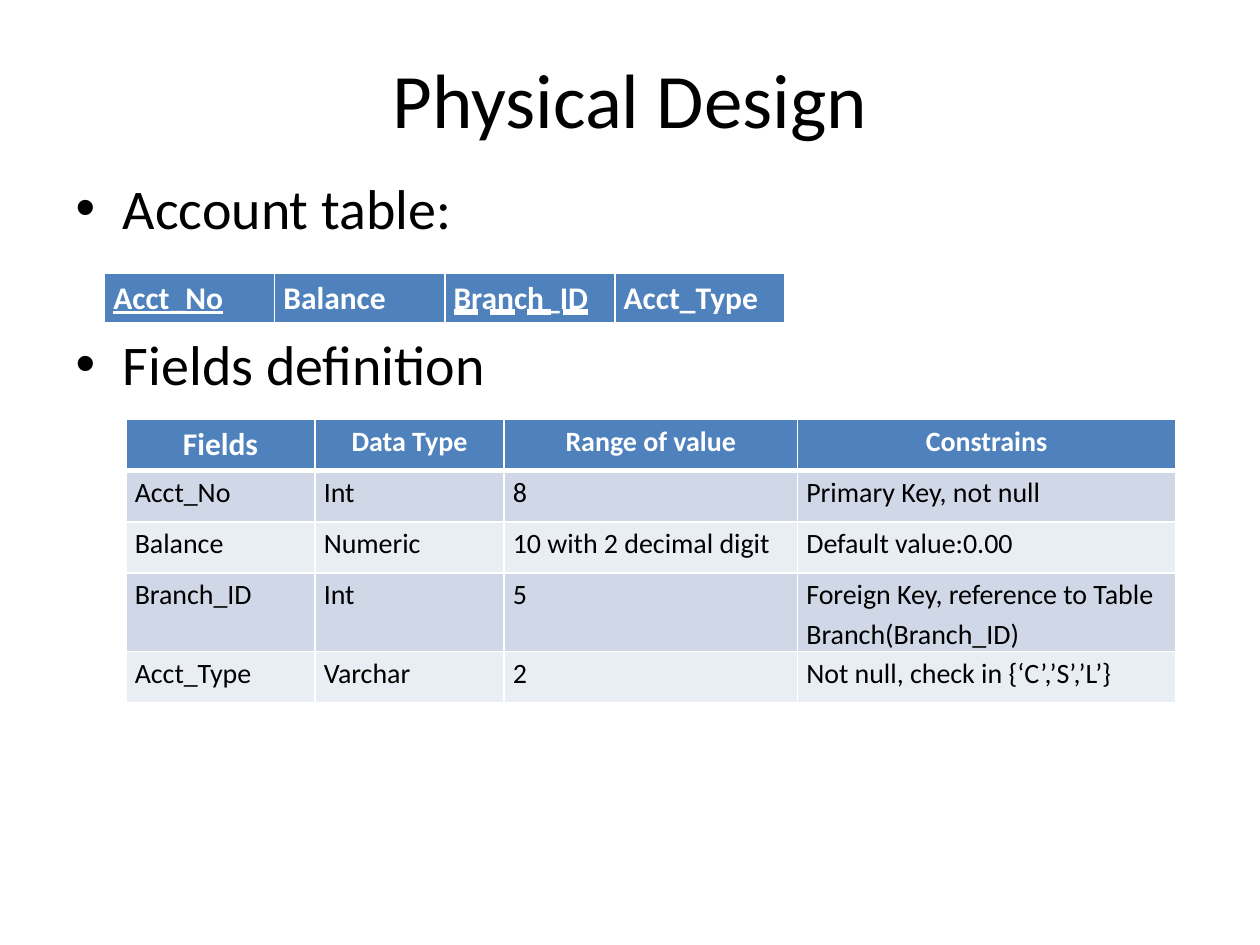
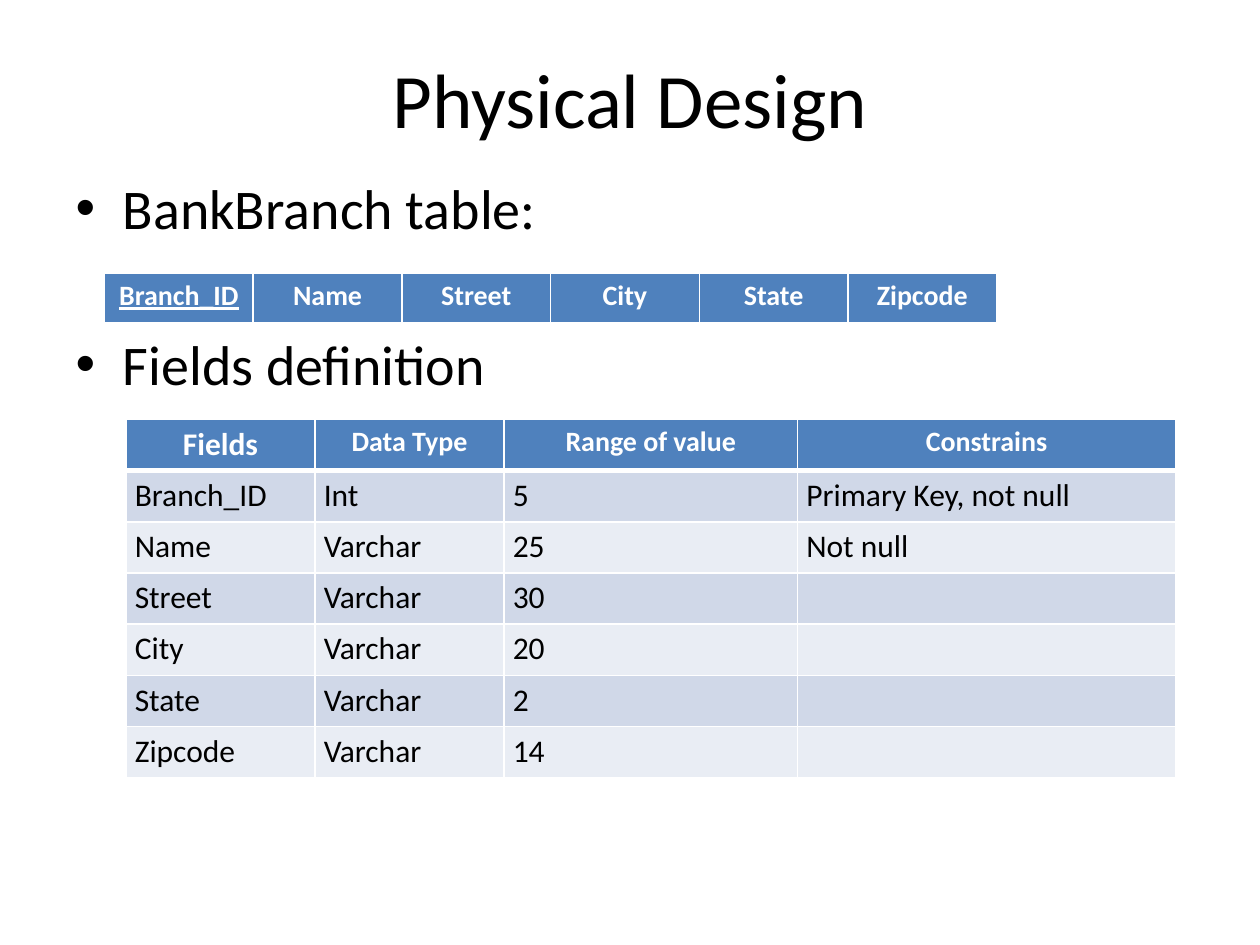
from lxml.etree import SubElement
from pptx import Presentation
from pptx.dml.color import RGBColor
from pptx.enum.text import MSO_ANCHOR, MSO_UNDERLINE, PP_ALIGN
from pptx.oxml.ns import qn
from pptx.util import Inches, Pt

BLACK = RGBColor(0x00, 0x00, 0x00)
WHITE = RGBColor(0xFF, 0xFF, 0xFF)
HEADER_BLUE = RGBColor(0x4F, 0x81, 0xBD)
BANDS = (RGBColor(0xD0, 0xD8, 0xE8), RGBColor(0xE9, 0xED, 0xF4))
FONT = "Calibri"
TITLE_AND_CONTENT = 1
ROW_HEIGHT = 0.406
FIELD_WIDTHS = (1.5, 1.5, 2.33, 3)
FIELD_HEADERS = ("Fields", "Data Type", "Range of value", "Constrains")
SOLID = MSO_UNDERLINE.SINGLE_LINE
DASHED = MSO_UNDERLINE.DASH_HEAVY_LINE


def draw_borders(cell, widths):
    """Draw white cell borders; widths are points keyed by side (L, R, T, B)."""
    properties = cell._tc.get_or_add_tcPr()
    for side, width in widths.items():
        line = SubElement(properties, qn(f"a:ln{side}"), w=str(Pt(width)))
        fill = SubElement(line, qn("a:solidFill"))
        SubElement(fill, qn("a:srgbClr"), val=str(WHITE))


class DesignDeck:
    def __init__(self):
        self.presentation = Presentation()
        self.presentation.slide_width = Inches(10)
        self.presentation.slide_height = Inches(7.5)
        self.slide = None

    def add_slide(self):
        layout = self.presentation.slide_layouts[TITLE_AND_CONTENT]
        self.slide = self.presentation.slides.add_slide(layout)

    def add_run(self, paragraph, text, size, color=BLACK, bold=False, underline=None):
        run = paragraph.add_run()
        run.text = text
        run.font.name = FONT
        run.font.size = Pt(size)
        run.font.color.rgb = color
        run.font.bold = bold
        run.font.underline = underline

    def place(self, shape, left, top, width, height):
        shape.left, shape.top = Inches(left), Inches(top)
        shape.width, shape.height = Inches(width), Inches(height)

    def add_title(self, text):
        title = self.slide.shapes.title
        self.place(title, 0.5, 0.3, 9, 0.95)
        title.text_frame.vertical_anchor = MSO_ANCHOR.MIDDLE
        paragraph = title.text_frame.paragraphs[0]
        paragraph.alignment = PP_ALIGN.CENTER
        self.add_run(paragraph, text, 44)

    def add_headings(self, first, second):
        """Fill the body with two bullets, leaving room for a table between them."""
        body = self.slide.placeholders[1]
        self.place(body, 0.5, 1.33, 9, 4.95)
        self.add_run(body.text_frame.paragraphs[0], first, 32)
        paragraph = body.text_frame.add_paragraph()
        paragraph.space_before = Pt(50.6)
        self.add_run(paragraph, second, 32)

    def add_table(self, left, top, widths, row_count):
        frame = self.slide.shapes.add_table(
            row_count, len(widths), Inches(left), Inches(top),
            Inches(sum(widths)), Inches(ROW_HEIGHT * row_count))
        table = frame.table
        table.first_row = table.horz_banding = False
        for column, width in zip(table.columns, widths):
            column.width = Inches(width)
        for row in table.rows:
            row.height = Inches(ROW_HEIGHT)
        return table

    def fill_cell(self, cell, text, size, is_header=False, top_border=1,
                  fill=HEADER_BLUE, alignment=PP_ALIGN.LEFT, underline=None):
        cell.margin_left = cell.margin_right = Inches(0.07)
        cell.margin_top = cell.margin_bottom = 0
        draw_borders(cell, {"L": 1, "R": 1, "T": top_border, "B": 3 if is_header else 1})
        cell.fill.solid()
        cell.fill.fore_color.rgb = fill
        if text:
            paragraph = cell.text_frame.paragraphs[0]
            paragraph.alignment = alignment
            paragraph.line_spacing = 1.15
            self.add_run(paragraph, text, size, WHITE if is_header else BLACK,
                         is_header, underline)

    def add_schema_table(self, names, column_width, size, alignment, key_underlines):
        table = self.add_table(0.83, 2.17, [column_width] * len(names), 1)
        for column, name in enumerate(names):
            self.fill_cell(table.cell(0, column), name, size, is_header=True,
                           alignment=alignment, underline=key_underlines.get(name))

    def add_fields_table(self, fields, size):
        table = self.add_table(1, 3.33, FIELD_WIDTHS, len(fields) + 1)
        for column, header in enumerate(FIELD_HEADERS):
            self.fill_cell(table.cell(0, column), header, 16 if column else 18,
                           is_header=True, alignment=PP_ALIGN.CENTER)
        for row, field in enumerate(fields, start=1):
            for column, text in enumerate(field):
                self.fill_cell(table.cell(row, column), text, size,
                               top_border=3 if row == 1 else 1, fill=BANDS[(row - 1) % 2])

    def add_design_slide(self, heading, fields, field_size, **schema):
        self.add_slide()
        self.add_title("Physical Design")
        self.add_headings(heading, "Fields definition")
        self.add_schema_table([field[0] for field in fields], **schema)
        self.add_fields_table(fields, field_size)


ACCOUNT_FIELDS = (
    ("Acct_No", "Int", "8", "Primary Key, not null"),
    ("Balance", "Numeric", "10 with 2 decimal digit", "Default value:0.00"),
    ("Branch_ID", "Int", "5", "Foreign Key, reference to Table Branch(Branch_ID)"),
    ("Acct_Type", "Varchar", "2", "Not null, check in {‘C’,’S’,’L’}"),
)
BRANCH_FIELDS = (
    ("Branch_ID", "Int", "5", "Primary Key, not null"),
    ("Name", "Varchar", "25", "Not null"),
    ("Street", "Varchar", "30", ""),
    ("City", "Varchar", "20", ""),
    ("State", "Varchar", "2", ""),
    ("Zipcode", "Varchar", "14", ""),
)


def main():
    deck = DesignDeck()
    deck.add_design_slide(
        "Account table:", ACCOUNT_FIELDS, 16, column_width=1.35, size=18,
        alignment=PP_ALIGN.LEFT, key_underlines={"Acct_No": SOLID, "Branch_ID": DASHED})
    deck.add_design_slide(
        "BankBranch table:", BRANCH_FIELDS, 18, column_width=1.18, size=16,
        alignment=PP_ALIGN.CENTER, key_underlines={"Branch_ID": SOLID})
    deck.presentation.save("out.pptx")


if __name__ == "__main__":
    main()
